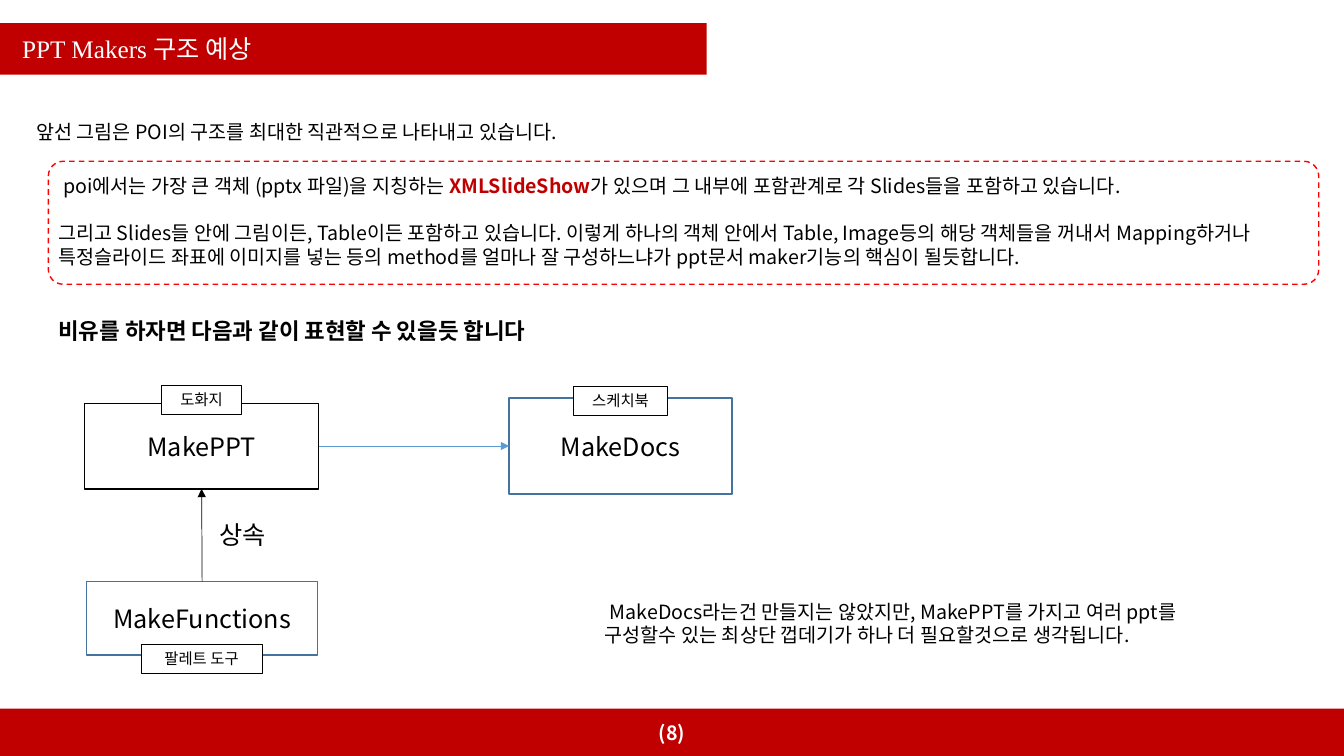
from dataclasses import dataclass

from lxml.etree import SubElement
from pptx import Presentation
from pptx.dml.color import RGBColor
from pptx.enum.dml import MSO_LINE
from pptx.enum.shapes import MSO_CONNECTOR, MSO_SHAPE
from pptx.enum.text import MSO_ANCHOR, MSO_AUTO_SIZE, PP_ALIGN
from pptx.oxml.ns import qn
from pptx.util import Inches, Pt

SANS, SERIF = "Noto Sans CJK KR", "Times New Roman"
BLACK, WHITE, RED, BLUE = "000000", "FFFFFF", "C00000", "43739E"
LINE_HEIGHT = 1.2
TOP, BOTTOM, LEFT, RIGHT = 0, 2, 1, 3  # connection sites of a rectangle


@dataclass(frozen=True)
class Area:
    left: float
    top: float
    width: float
    height: float

    def lengths(self) -> tuple:
        return tuple(Inches(value) for value in (self.left, self.top, self.width, self.height))


@dataclass(frozen=True)
class Run:
    text: str
    color: str = BLACK
    bold: bool = False


@dataclass(frozen=True)
class Style:
    size: float
    font: str = SANS
    align: PP_ALIGN = PP_ALIGN.LEFT
    anchor: MSO_ANCHOR = MSO_ANCHOR.TOP
    margin: float = 0.1
    first_indent: float = 0


@dataclass(frozen=True)
class Box:
    """A labelled rectangle."""
    text: str
    area: Area
    line: str
    fill: str | None = None


@dataclass(frozen=True)
class Note:
    area: Area
    paragraphs: list
    style: Style


BAR = Style(14, align=PP_ALIGN.CENTER, anchor=MSO_ANCHOR.MIDDLE)
TITLE = Style(18, font=SERIF, anchor=MSO_ANCHOR.MIDDLE, margin=0.22)
CLASS = Style(18, align=PP_ALIGN.CENTER, anchor=MSO_ANCHOR.MIDDLE)
TAG = Style(11, align=PP_ALIGN.CENTER)

MAKE_PPT = Box("MakePPT", Area(0.84, 4, 2.32, 0.85), BLACK)
MAKE_FUNCTIONS = Box("MakeFunctions", Area(0.86, 5.77, 2.29, 0.73), BLUE)
MAKE_DOCS = Box("MakeDocs", Area(5.05, 3.95, 2.21, 0.95), BLUE, WHITE)
TAGS = [
    Box("팔레트 도구", Area(1.4, 6.39, 1.2, 0.29), BLACK, WHITE),
    Box("도화지", Area(1.6, 3.82, 0.8, 0.29), BLACK, WHITE),
    Box("스케치북", Area(5.69, 3.83, 0.93, 0.29), BLACK, WHITE),
]
NOTES = [
    Note(Area(0.21, 1.14, 12.3, 0.34),
         [[Run("앞선 그림은 POI의 구조를 최대한 직관적으로 나타내고 있습니다.")]],
         Style(14, first_indent=0.05)),
    Note(Area(0.48, 1.68, 12.67, 1.04),
         [[Run("poi에서는 가장 큰 객체 (pptx 파일)을 지칭하는 "),
           Run("XMLSlideShow", RED, True),
           Run("가 있으며 그 내부에 포함관계로 각 Slides들을 포함하고 있습니다.")],
          [Run("그리고 Slides들 안에 그림이든, Table이든 포함하고 있습니다. "
               "이렇게 하나의 객체 안에서 Table, Image등의 해당 객체들을 꺼내서 "
               "Mapping하거나 특정슬라이드 좌표에 이미지를 넣는 등의 method를 "
               "얼마나 잘 구성하느냐가 ppt문서 maker기능의 핵심이 될듯합니다.")]],
         Style(14, first_indent=0.05)),
    Note(Area(0.48, 3.1, 6.45, 0.37),
         [[Run("비유를 하자면 다음과 같이 표현할 수 있을듯 합니다", bold=True)]], Style(16)),
    Note(Area(2.08, 5.1, 0.82, 0.4), [[Run("상속")]], Style(18)),
    Note(Area(5.9, 5.9, 6.61, 0.57),
         [[Run("MakeDocs라는건 만들지는 않았지만, MakePPT를 가지고 여러 ppt를 "
               "구성할수 있는 최상단 껍데기가 하나 더 필요할것으로 생각됩니다.")]],
         Style(14, first_indent=0.05)),
]


def rgb(color: str) -> RGBColor:
    return RGBColor.from_string(color)


def set_all(target, values: dict) -> None:
    for name, value in values.items():
        setattr(target, name, value)


def write(shape, paragraphs: list, style: Style) -> None:
    frame = shape.text_frame
    set_all(frame, {
        "word_wrap": True, "auto_size": MSO_AUTO_SIZE.NONE, "vertical_anchor": style.anchor,
        "margin_left": Inches(style.margin), "margin_right": Inches(0.1),
        "margin_top": Inches(0.05), "margin_bottom": Inches(0.05),
    })
    line_height = Pt(style.size * LINE_HEIGHT)
    for index, runs in enumerate(paragraphs):
        paragraph = frame.add_paragraph() if index else frame.paragraphs[0]
        set_all(paragraph, {
            "alignment": style.align, "line_spacing": line_height,
            "space_before": line_height if index else Pt(0),
        })
        if style.first_indent and not index:
            paragraph._p.get_or_add_pPr().set("indent", str(Inches(style.first_indent)))
        for part in runs:
            run = paragraph.add_run()
            run.text = part.text
            set_all(run.font, {"size": Pt(style.size), "name": style.font, "bold": part.bold})
            run.font.color.rgb = rgb(part.color)
            SubElement(run._r.rPr, qn("a:ea")).set("typeface", SANS)


def paint(shape, fill: str | None, line: str | None, width: float = 1) -> None:
    if fill:
        shape.fill.solid()
        shape.fill.fore_color.rgb = rgb(fill)
    else:
        shape.fill.background()
    if line:
        shape.line.color.rgb = rgb(line)
        shape.line.width = Pt(width)
    else:
        shape.line.fill.background()


def add_panel(slide, area: Area, fill: str | None, line: str | None,
              width: float = 1, kind: MSO_SHAPE = MSO_SHAPE.RECTANGLE):
    shape = slide.shapes.add_shape(kind, *area.lengths())
    shape.shadow.inherit = False
    paint(shape, fill, line, width)
    return shape


def add_box(slide, box: Box, style: Style, width: float):
    shape = add_panel(slide, box.area, box.fill, box.line, width)
    write(shape, [[Run(box.text)]], style)
    return shape


def add_arrow(slide, start, start_site: int, end, end_site: int, color: str) -> None:
    arrow = slide.shapes.add_connector(MSO_CONNECTOR.STRAIGHT, 0, 0, 0, 0)
    arrow.begin_connect(start, start_site)
    arrow.end_connect(end, end_site)
    arrow.line.color.rgb = rgb(color)
    arrow.line.width = Pt(0.5)
    SubElement(arrow.line._get_or_add_ln(), qn("a:tailEnd")).set("type", "triangle")
    SubElement(arrow._element.spPr, qn("a:effectLst"))


def main() -> None:
    presentation = Presentation()
    set_all(presentation, {"slide_width": Inches(13.33), "slide_height": Inches(7.5)})
    slide = presentation.slides.add_slide(presentation.slide_layouts[5])

    title = slide.shapes.title
    set_all(title, dict(zip(("left", "top", "width", "height"),
                            Area(0, 0.23, 7.01, 0.51).lengths())))
    paint(title, RED, None)
    write(title, [[Run("PPT Makers 구조 예상", WHITE)]], TITLE)

    footer = add_panel(slide, Area(0, 7.03, 13.33, 0.47), RED, None)
    write(footer, [[Run("(8)", WHITE, True)]], BAR)

    for note in NOTES:
        write(slide.shapes.add_textbox(*note.area.lengths()), note.paragraphs, note.style)

    make_ppt, make_functions, make_docs = (
        add_box(slide, box, CLASS, 1) for box in (MAKE_PPT, MAKE_FUNCTIONS, MAKE_DOCS))
    add_arrow(slide, make_functions, TOP, make_ppt, BOTTOM, BLACK)
    add_arrow(slide, make_ppt, RIGHT, make_docs, LEFT, "5B9BD5")
    for tag in TAGS:
        add_box(slide, tag, TAG, 0.75)

    frame = add_panel(slide, Area(0.48, 1.6, 12.6, 1.22), None, "FF0000",
                      kind=MSO_SHAPE.ROUNDED_RECTANGLE)
    frame.adjustments[0] = 0.12
    frame.line.dash_style = MSO_LINE.DASH

    presentation.save("out.pptx")


if __name__ == "__main__":
    main()
